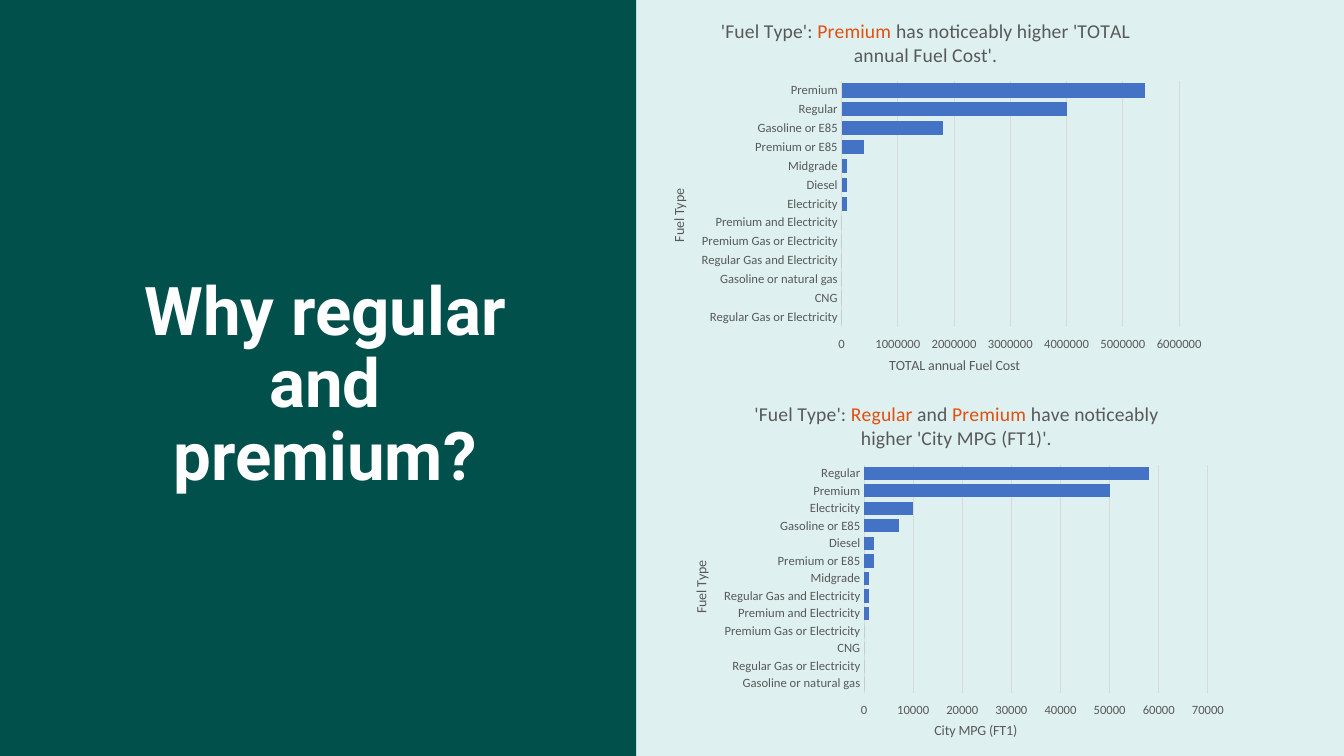
from pptx import Presentation
from pptx.chart.data import CategoryChartData
from pptx.dml.color import RGBColor
from pptx.enum.chart import XL_CHART_TYPE, XL_TICK_LABEL_POSITION, XL_TICK_MARK
from pptx.enum.shapes import MSO_SHAPE
from pptx.enum.text import MSO_ANCHOR, MSO_AUTO_SIZE, PP_ALIGN
from pptx.oxml import parse_xml
from pptx.oxml.ns import nsdecls, qn
from pptx.util import Inches, Pt

CLUSTER, STACK = XL_CHART_TYPE.BAR_CLUSTERED, XL_CHART_TYPE.BAR_STACKED
HIGH, NONE = XL_TICK_LABEL_POSITION.HIGH, XL_TICK_MARK.NONE

# Content
HEAD = "Why regular and premium?"
GRAY, GRID, BLUE, ORANGE = "595959", "D9D9D9", "4472C4", "E2500F"
CHARTS = [
    {
        "kind": CLUSTER, "overlap": -30, "box": (6.45, 0.03, 5.58, 3.87),
        "title": [("'Fuel Type': ", GRAY), ("Premium", ORANGE),
                  (" has noticeably higher 'TOTAL annual Fuel Cost'.", GRAY)],
        "unit": "TOTAL annual Fuel Cost", "top": 6000000, "step": 1000000,
        "rows": [("Premium", 5400000), ("Regular", 4000000),
                 ("Gasoline or E85", 1800000), ("Premium or E85", 400000),
                 ("Midgrade", 100000), ("Diesel", 100000),
                 ("Electricity", 100000), ("Premium and Electricity", 0),
                 ("Premium Gas or Electricity", 0),
                 ("Regular Gas and Electricity", 0),
                 ("Gasoline or natural gas", 0), ("CNG", 0),
                 ("Regular Gas or Electricity", 0)],
        # Fractions of the chart box
        "plot": (0.34, 0.2, 0.6, 0.63), "title_at": (0.12, 0.03),
        "unit_at": (0.42, 0.9), "cat_at": (0.03, 0.47),
    },
    {
        "kind": STACK, "overlap": 100, "box": (6.67, 3.83, 5.59, 3.71),
        "title": [("'Fuel Type': ", GRAY), ("Regular", ORANGE),
                  (" and ", GRAY), ("Premium", ORANGE),
                  (" have noticeably higher 'City MPG (FT1)'.", GRAY)],
        "unit": "City MPG (FT1)", "top": 70000, "step": 10000,
        "rows": [("Regular", 58000), ("Premium", 50000),
                 ("Electricity", 10000), ("Gasoline or E85", 7000),
                 ("Diesel", 2000), ("Premium or E85", 2000),
                 ("Midgrade", 1000), ("Regular Gas and Electricity", 1000),
                 ("Premium and Electricity", 1000),
                 ("Premium Gas or Electricity", 0), ("CNG", 0),
                 ("Regular Gas or Electricity", 0),
                 ("Gasoline or natural gas", 0)],
        "plot": (0.34, 0.21, 0.61, 0.61), "title_at": (0.14, 0.03),
        "unit_at": (0.46, 0.89), "cat_at": (0.03, 0.46),
    },
]


def color(code):
    return RGBColor.from_string(code)


def paint(fill, code):
    fill.solid()
    fill.fore_color.rgb = color(code)


def style(font, size, code, name="Calibri", bold=False):
    font.size, font.name, font.bold = Pt(size), name, bold
    font.color.rgb = color(code)


def place(part, spot, index):
    """Set a manual layout: x, y and, for the plot, w, h."""
    for old in part.findall(qn("c:layout")):
        part.remove(old)
    inner = '<c:layoutTarget val="inner"/>' if len(spot) == 4 else ""
    modes = '<c:xMode val="edge"/><c:yMode val="edge"/>'
    sizes = "".join(f'<c:{key} val="{val}"/>' for key, val in zip("xywh", spot))
    part.insert(index, parse_xml(
        f'<c:layout {nsdecls("c")}><c:manualLayout>{inner}{modes}{sizes}'
        "</c:manualLayout></c:layout>"))


def label(title, parts, size, spot):
    para = title.text_frame.paragraphs[0]
    for text, code in parts:
        run = para.add_run()
        run.text = text
        style(run.font, size, code)
    place(title._element, spot, 1)


def add_bars(slide, item):
    data = CategoryChartData(number_format="General")
    data.categories = [name for name, _ in item["rows"]]
    data.add_series("Series 1", [val for _, val in item["rows"]])
    box = [Inches(n) for n in item["box"]]
    chart = slide.shapes.add_chart(item["kind"], *box, data).chart
    chart.has_legend = False
    style(chart.font, 10, "000000")

    # Bars
    plot = chart.plots[0]
    plot.gap_width, plot.overlap = 33, item["overlap"]
    plot.vary_by_categories = False
    paint(plot.series[0].format.fill, BLUE)
    place(chart._chartSpace.chart.plotArea, item["plot"], 0)

    # Axes: reversed categories, values labelled at the bottom
    cat, val = chart.category_axis, chart.value_axis
    for axis in (cat, val):
        axis.major_tick_mark = axis.minor_tick_mark = NONE
        style(axis.tick_labels.font, 9, GRAY)
    cat.reverse_order, val.tick_label_position = True, HIGH
    cat.has_major_gridlines, val.has_major_gridlines = False, True
    val.minimum_scale, val.maximum_scale = 0, item["top"]
    val.major_unit = item["step"]
    val.format.line.fill.background()
    for line in (cat.format.line, val.major_gridlines.format.line):
        paint(line.fill, GRID)
        line.width = Pt(0.75)

    # Titles
    chart.has_title = True
    label(chart.chart_title, item["title"], 14, item["title_at"])
    label(cat.axis_title, [("Fuel Type", GRAY)], 10, item["cat_at"])
    label(val.axis_title, [(item["unit"], GRAY)], 10, item["unit_at"])


deck = Presentation()
deck.slide_width, deck.slide_height = Inches(13.33), Inches(7.5)
slide = deck.slides.add_slide(deck.slide_layouts[5])
paint(slide.background.fill, "DEF0F0")

# Left panel, behind the title
panel = slide.shapes.add_shape(
    MSO_SHAPE.RECTANGLE, 0, 0, Inches(6.31), Inches(7.5))
panel.shadow.inherit = False
paint(panel.fill, "02504C")
panel.line.fill.background()
title = slide.shapes.title
title._element.addprevious(panel._element)

# Title
title.left, title.top = Inches(1.01), Inches(1.61)
title.width, title.height = Inches(4.43), Inches(4.44)
frame = title.text_frame
frame.text = HEAD
frame.word_wrap, frame.auto_size = True, MSO_AUTO_SIZE.NONE
frame.vertical_anchor = MSO_ANCHOR.MIDDLE
para = frame.paragraphs[0]
para.alignment, para.line_spacing = PP_ALIGN.CENTER, 0.9
style(para.runs[0].font, 48, "FFFFFF", "Roboto", True)

for item in CHARTS:
    add_bars(slide, item)

deck.save("out.pptx")
